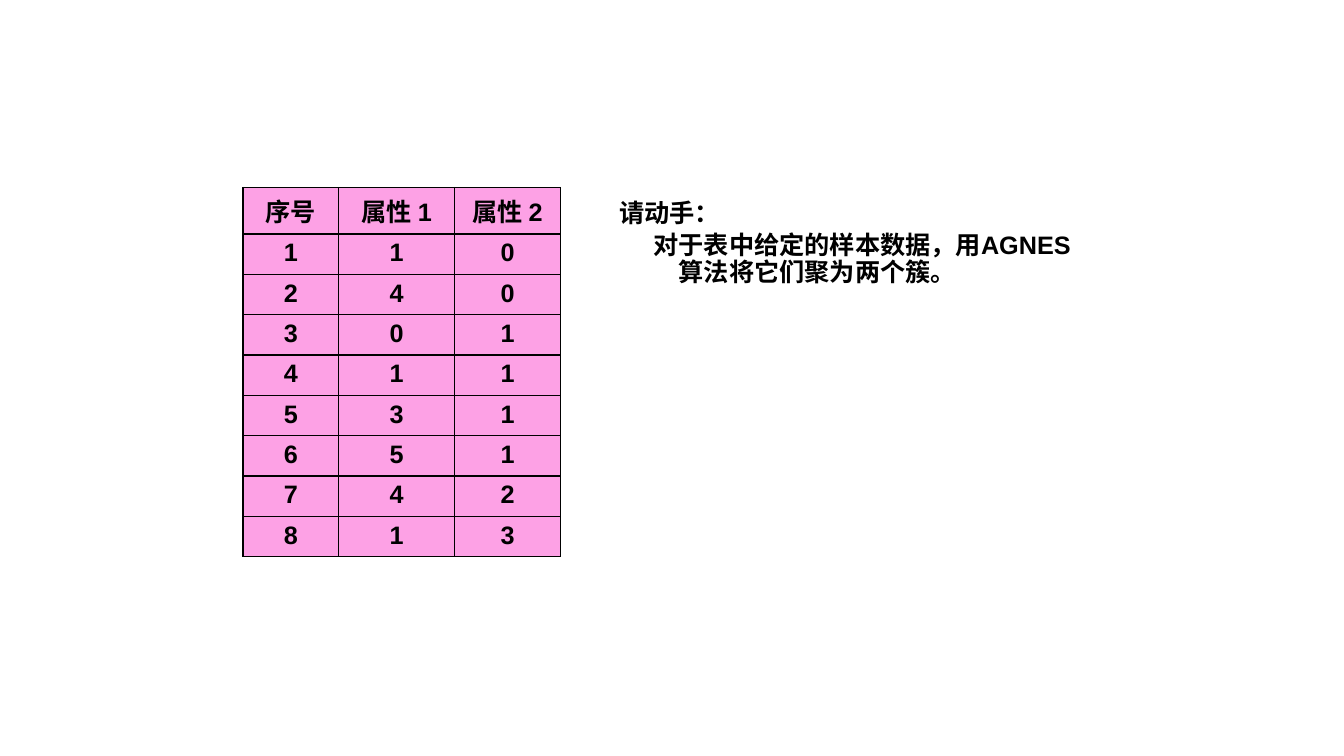
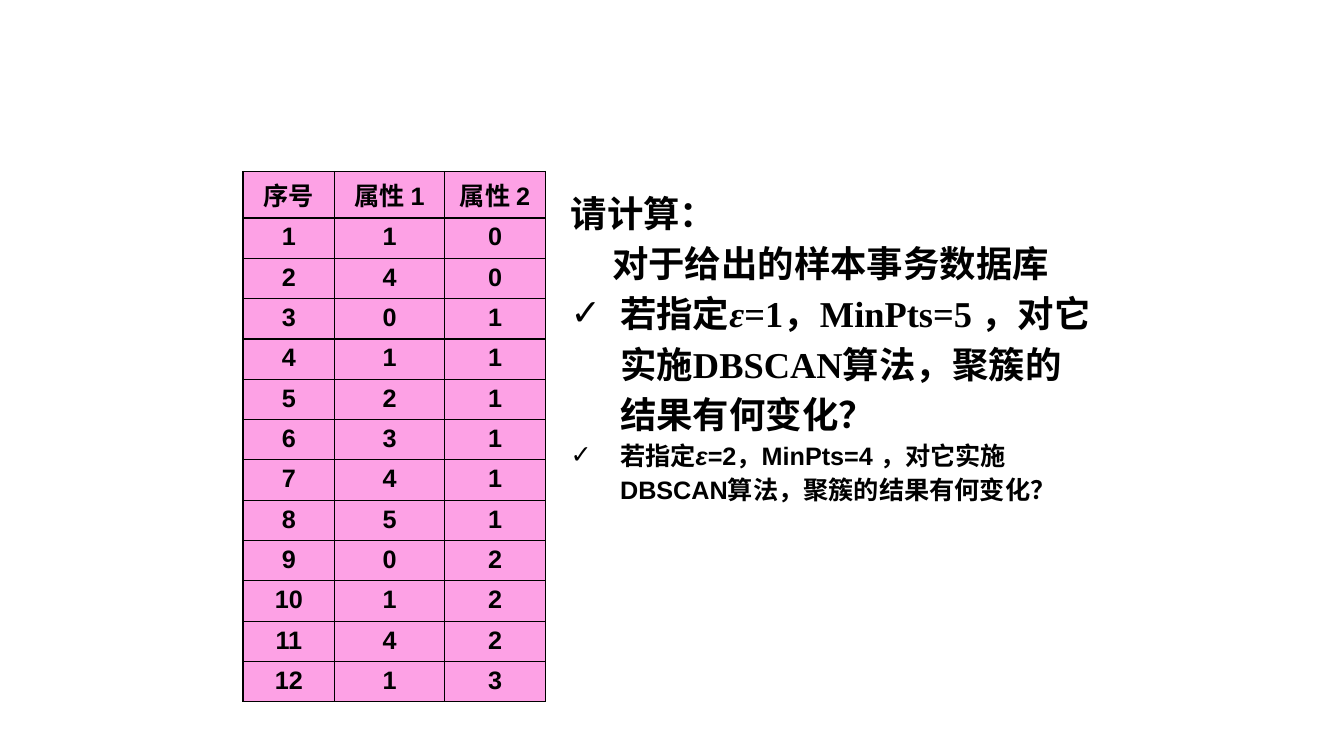
from dataclasses import dataclass

from lxml import etree
from pptx import Presentation
from pptx.dml.color import RGBColor
from pptx.enum.text import MSO_AUTO_SIZE, PP_ALIGN
from pptx.oxml.ns import qn
from pptx.util import Inches, Pt

CENTER = PP_ALIGN.CENTER
LEFT = PP_ALIGN.LEFT
NO_FIT = MSO_AUTO_SIZE.NONE
TITLE_AND_BODY = 1
HEADERS = ["序号", "属性 1", "属性 2"]
CHECK = "✓"


@dataclass(frozen=True)
class Theme:
    ink: RGBColor = RGBColor(0x00, 0x00, 0x00)
    cell: RGBColor = RGBColor(0xFD, 0xA1, 0xE5)
    sans: str = "Arial"
    serif: str = "Times New Roman"
    normal: int = 18
    large: int = 26
    border: float = 1
    row_height: float = 0.4
    cell_indent: float = 0.38


@dataclass(frozen=True)
class Line:
    """One paragraph: spans of (text, italic), and where its first line starts."""
    spans: list
    size: int
    font: str
    left: float
    first: float = 0
    bullet: str = ""


class Deck:
    def __init__(self, theme):
        self.theme = theme
        self.deck = Presentation()
        self.deck.slide_width = Inches(13.33)
        self.deck.slide_height = Inches(7.5)
        self.page = None

    def add_page(self):
        layout = self.deck.slide_layouts[TITLE_AND_BODY]
        self.page = self.deck.slides.add_slide(layout)
        title = self.page.shapes.title
        title.element.getparent().remove(title.element)

    def write_span(self, para, text, size, font, italic=False):
        span = para.add_run()
        span.text = text
        style = {"name": font, "size": Pt(size), "bold": True, "italic": italic}
        for name, value in style.items():
            setattr(span.font, name, value)
        span.font.color.rgb = self.theme.ink

    def set_indent(self, para, left, first):
        properties = para._p.get_or_add_pPr()
        properties.set("marL", str(Inches(left)))
        properties.set("indent", str(Inches(first - left)))
        return properties

    def add_borders(self, cell):
        properties = cell._tc.get_or_add_tcPr()
        for side in ("lnL", "lnR", "lnT", "lnB"):
            line = etree.SubElement(properties, qn(f"a:{side}"),
                                    w=str(Pt(self.theme.border)))
            fill = etree.SubElement(line, qn("a:solidFill"))
            etree.SubElement(fill, qn("a:srgbClr"), val=str(self.theme.ink))

    def add_samples(self, left, top, widths, points):
        """Table of numbered samples, one row for each point."""
        theme = self.theme
        rows = [HEADERS] + [[n, *point] for n, point in enumerate(points, 1)]
        frame = self.page.shapes.add_table(
            len(rows), len(widths), Inches(left), Inches(top),
            Inches(sum(widths)), Inches(theme.row_height * len(rows)))
        table = frame.table
        table.first_row = table.horz_banding = False
        for column, width in zip(table.columns, widths):
            column.width = Inches(width)
        for r, row in enumerate(rows):
            table.rows[r].height = Inches(theme.row_height)
            for c, value in enumerate(row):
                cell = table.cell(r, c)
                self.add_borders(cell)
                cell.fill.solid()
                cell.fill.fore_color.rgb = theme.cell
                para = cell.text_frame.paragraphs[0]
                para.alignment = CENTER
                self.set_indent(para, theme.cell_indent, 0)
                self.write_span(para, str(value), theme.normal, theme.sans)

    def add_task(self, left, top, width, height, lines, spacing):
        """Task text in the body placeholder."""
        box = self.page.placeholders[1]
        place = {"left": left, "top": top, "width": width, "height": height}
        for name, value in place.items():
            setattr(box, name, Inches(value))
        frame = box.text_frame
        frame.auto_size = NO_FIT
        frame.word_wrap = True
        for number, line in enumerate(lines):
            para = frame.add_paragraph() if number else frame.paragraphs[0]
            for name, value in {"alignment": LEFT, **spacing}.items():
                setattr(para, name, value)
            properties = self.set_indent(para, line.left, line.first)
            if line.bullet:
                etree.SubElement(properties, qn("a:buChar"), char=line.bullet)
            else:
                etree.SubElement(properties, qn("a:buNone"))
            for text, italic in line.spans:
                self.write_span(para, text, line.size, line.font, italic)

    def save(self):
        self.deck.save("out.pptx")


def dbscan_question(epsilon, min_points):
    return [("若指定", False), ("ε", True),
            (f"={epsilon}，MinPts={min_points} ，对它实施DBSCAN算法，"
             "聚簇的结果有何变化？", False)]


def main():
    theme = Theme()
    deck = Deck(theme)

    # AGNES exercise
    deck.add_page()
    deck.add_samples(2.41, 1.86, [0.95, 1.15, 1.05], [
        (1, 0), (4, 0), (0, 1), (1, 1), (3, 1), (5, 1), (4, 2), (1, 3)])
    normal = {"size": theme.normal, "font": theme.sans, "left": 0.59}
    deck.add_task(6.04, 1.94, 4.88, 2.05, [
        Line([("请动手：", False)], **normal),
        Line([("对于表中给定的样本数据，用AGNES算法将它们聚为两个簇。", False)],
             first=0.34, **normal),
    ], {"line_spacing": 0.9, "space_before": Pt(3.6)})

    # DBSCAN exercise
    deck.add_page()
    deck.add_samples(2.41, 1.7, [0.91, 1.09, 1], [
        (1, 0), (4, 0), (0, 1), (1, 1), (2, 1), (3, 1),
        (4, 1), (5, 1), (0, 2), (1, 2), (4, 2), (1, 3)])
    large = {"size": theme.large, "font": theme.serif, "left": 0.49}
    small = {"size": theme.normal, "font": theme.sans, "left": 0.49}
    deck.add_task(5.56, 1.78, 5.43, 3.31, [
        Line([("请计算：", False)], **large),
        Line([("对于给出的样本事务数据库", False)], first=0.41, **large),
        Line(dbscan_question(1, 5), bullet=CHECK, **large),
        Line(dbscan_question(2, 4), bullet=CHECK, **small),
    ], {"line_spacing": 1.15, "space_before": Pt(0)})

    deck.save()


if __name__ == "__main__":
    main()
